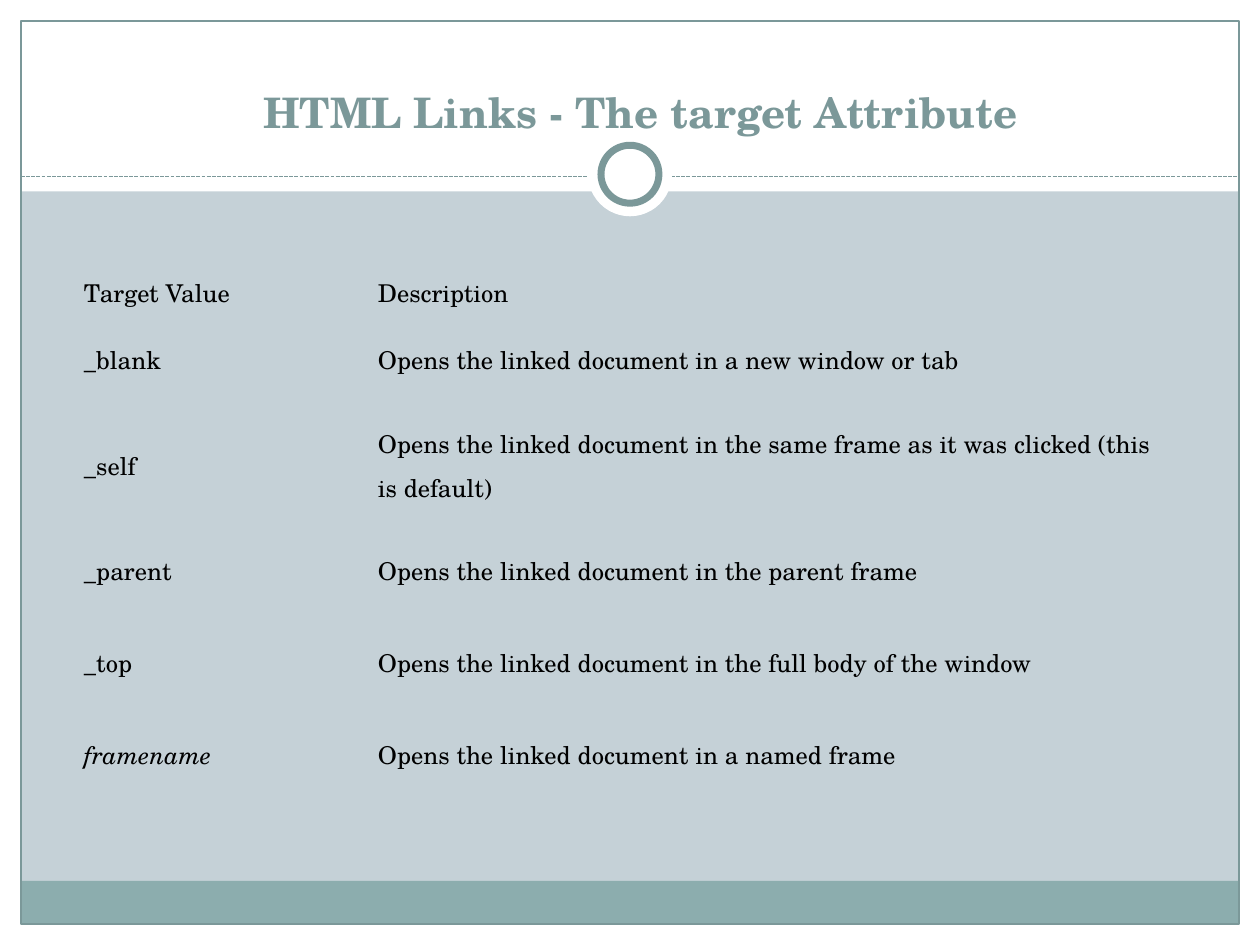
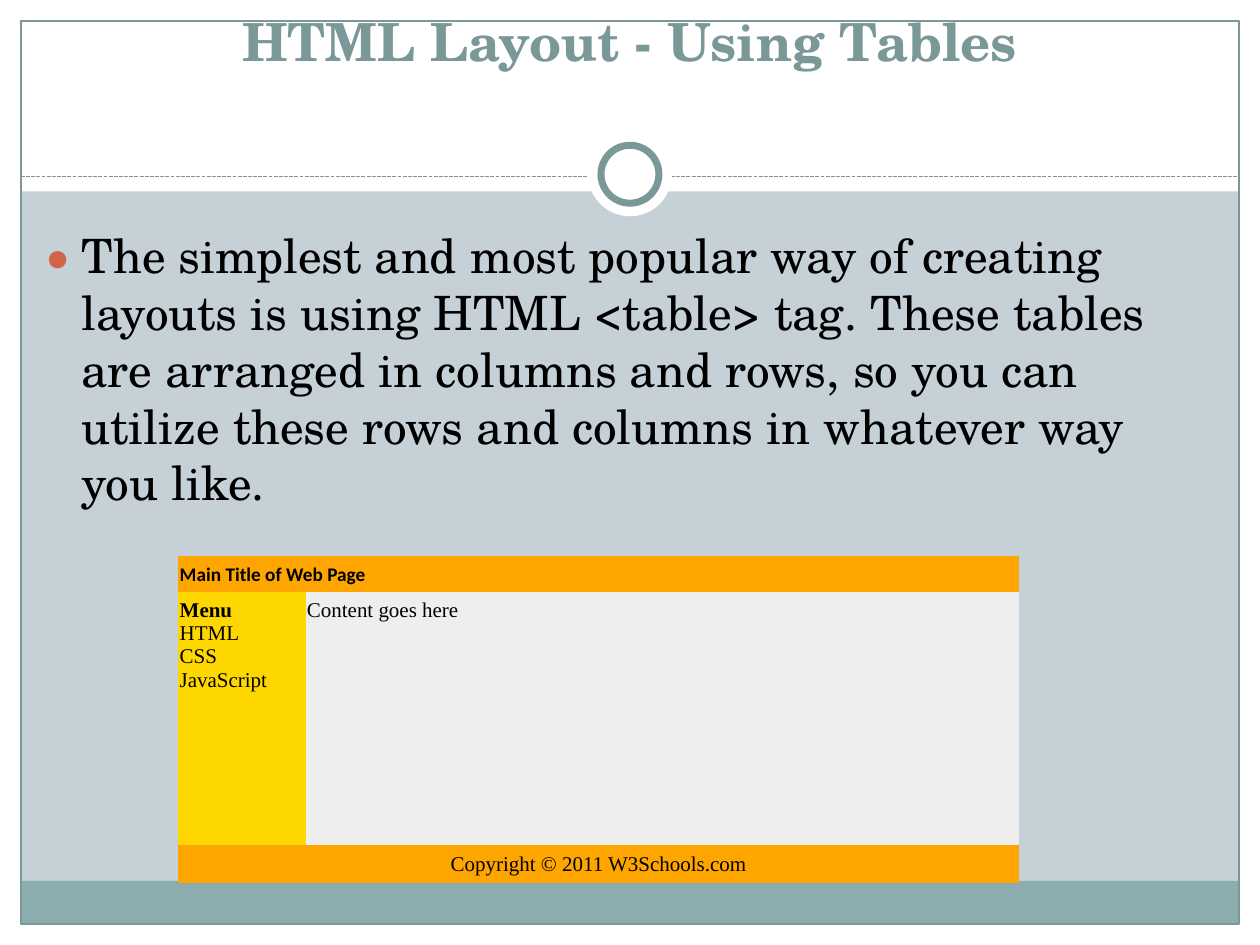
from lxml.etree import SubElement
from pptx import Presentation
from pptx.dml.color import RGBColor
from pptx.enum.dml import MSO_LINE as Dash
from pptx.enum.shapes import MSO_CONNECTOR as Wire, MSO_SHAPE as Kind
from pptx.enum.text import MSO_ANCHOR as Anchor, PP_ALIGN as Align
from pptx.oxml.ns import qn
from pptx.util import Inches, Pt

# The slide is a grid of 120 columns and 90 rows
COLS, ROWS = 120, 90
UNIT = Inches(10) / COLS
EDGE = 2
SLATE, TEAL, PALE, WHITE, BLACK = "7B9899", "8CADAE", "C5D1D7", "FFFFFF", "000000"
SERIF, SANS, ROMAN = "TeX Gyre Schola", "Calibri", "Times New Roman"
PLAIN = "{2D5ABB26-0587-4C30-8999-92F81FD0307C}"  # table style without grid
rgb = RGBColor.from_string


def grid(*cells):
    """Turn grid steps into lengths."""
    return [round(cell * UNIT) for cell in cells]


def style(frame, face, size, color=BLACK, bold=False, align=Align.LEFT):
    """Format all runs of a text frame."""
    for par in frame.paragraphs:
        par.alignment = align
        for run in par.runs:
            font = run.font
            font.name, font.size, font.bold = face, Pt(size), bold
            font.color.rgb = rgb(color)


deck = Presentation()
deck.slide_width, deck.slide_height = grid(COLS, ROWS)

# Kind, place, fill, line width
MID, RULE = COLS / 2, 16.8
WIDE, HIGH = COLS - 2 * EDGE, ROWS - 2 * EDGE
bands = [
    (Kind.RECTANGLE, (0, ROWS - EDGE, COLS, EDGE), WHITE, 0),
    (Kind.RECTANGLE, (0, 0, COLS, 18.24), WHITE, 0),
    (Kind.RECTANGLE, (0, 0, EDGE, ROWS), WHITE, 0),
    (Kind.RECTANGLE, (COLS - EDGE, 0, EDGE, ROWS), WHITE, 0),
    (Kind.RECTANGLE, (EDGE, 83.9, WIDE, 4.1), TEAL, 0),
    (Kind.RECTANGLE, (EDGE, EDGE, WIDE, HIGH), None, 0.75),
    (Kind.OVAL, (MID - 4, 12.6, 8, 8), WHITE, 0),
    (Kind.OVAL, (MID - 2.76, 13.84, 5.52, 5.52), WHITE, 4),
]

# Title, place, size, room below the text
heads = [
    ("HTML Links - The target Attribute", (5, 3, 112, 15), 24, 5.2),
    ("HTML Layout - Using Tables", (4, 3, 112, 10), 30, 6.2),
]

slides = []
for title, place, size, room in heads:
    slide = deck.slides.add_slide(deck.slide_layouts[6])
    slides.append(slide)
    slide.background.fill.solid()
    slide.background.fill.fore_color.rgb = rgb(PALE)

    for kind, spot, fill, line in bands:
        if kind == Kind.OVAL and line == 0:
            rule = slide.shapes.add_connector(
                Wire.STRAIGHT, *grid(EDGE, RULE, COLS - EDGE, RULE))
            rule.line.color.rgb = rgb(SLATE)
            rule.line.width = Pt(0.75)
            rule.line.dash_style = Dash.SQUARE_DOT
            SubElement(rule._element.spPr, qn("a:effectLst"))
        band = slide.shapes.add_shape(kind, *grid(*spot))
        band.shadow.inherit = False
        if fill:
            band.fill.solid()
            band.fill.fore_color.rgb = rgb(fill)
        else:
            band.fill.background()
        if line:
            band.line.color.rgb = rgb(SLATE)
            band.line.width = Pt(line)
        else:
            band.line.fill.background()

    frame = slide.shapes.add_textbox(*grid(*place)).text_frame
    frame.word_wrap = True
    frame.vertical_anchor = Anchor.BOTTOM
    frame.margin_top, frame.margin_bottom = grid(0, room)
    frame.text = title
    style(frame, SERIF, size, SLATE, True, Align.CENTER)

links, layout = slides

# Bulleted text
frame = layout.shapes.add_textbox(*grid(3, 21, 111.6, 60)).text_frame
frame.word_wrap = True
frame.text = (
    "The simplest and most popular way of creating layouts is using HTML "
    "<table> tag. These tables are arranged in columns and rows, so you can "
    "utilize these rows and columns in whatever way you like.")
props = frame.paragraphs[0]._p.get_or_add_pPr()
props.set("marL", str(Inches(0.3)))
props.set("indent", str(-Inches(0.3)))
SubElement(SubElement(props, qn("a:buClr")), qn("a:srgbClr"), val="D16349")
SubElement(props, qn("a:buSzPct"), val="85000")
SubElement(props, qn("a:buFont"), typeface=SERIF)
SubElement(props, qn("a:buChar"), char="●")
style(frame, SERIF, 27)

# Slide, corner, column widths, row heights, side inset, texts
tables = [
    (links, (7, 24.84), (28, 77), (3.72, 8.76, 11.4, 8.76, 8.76, 8.76), 1, [
        ("Target Value", "Description"),
        ("_blank", "Opens the linked document in a new window or tab"),
        ("_self", "Opens the linked document in the same frame as it was "
                  "clicked (this is default)"),
        ("_parent", "Opens the linked document in the parent frame"),
        ("_top", "Opens the linked document in the full body of the window"),
        ("framename", "Opens the linked document in a named frame"),
    ]),
    (layout, (17, 53), (12.12, 67.92), (2.4, 24.12, 2.64), 0.12, [
        ("Main Title of Web Page", ""),
        ("Menu\nHTML\nCSS\nJavaScript", "Content goes here"),
        ("Copyright © 2011 W3Schools.com", ""),
    ]),
]

made = []
for slide, corner, wide, high, inset, texts in tables:
    spot = grid(*corner, sum(wide), sum(high))
    table = slide.shapes.add_table(len(high), len(wide), *spot).table
    made.append(table)
    table.first_row = table.horz_banding = False
    table._tbl.tblPr.find(qn("a:tableStyleId")).text = PLAIN
    for col, width in zip(table.columns, grid(*wide)):
        col.width = width
    for row, height, line in zip(table.rows, grid(*high), texts):
        row.height = height
        for cell, text in zip(row.cells, line):
            cell.text = text
            cell.vertical_anchor = Anchor.MIDDLE
            cell.margin_left, cell.margin_right = grid(inset, inset)
            cell.fill.background()

values, page = made
for cell in values.iter_cells():
    style(cell.text_frame, SERIF, 14)
    cell.text_frame.paragraphs[0].line_spacing = 1.22
values.cell(5, 0).text_frame.paragraphs[0].runs[0].font.italic = True

# Row, column, fill, font, size, bold, alignment
looks = [
    (0, 0, "FFA500", SANS, 11, True, Align.LEFT),
    (1, 0, "FFD700", ROMAN, 12, False, Align.LEFT),
    (1, 1, "EEEEEE", ROMAN, 12, False, Align.LEFT),
    (2, 0, "FFA500", ROMAN, 12, False, Align.CENTER),
]
for row, col, fill, face, size, bold, align in looks:
    cell = page.cell(row, col)
    cell.fill.solid()
    cell.fill.fore_color.rgb = rgb(fill)
    style(cell.text_frame, face, size, BLACK, bold, align)
    if row == 1:
        cell.vertical_anchor = Anchor.TOP
    else:
        cell.merge(page.cell(row, 1))
page.cell(1, 0).text_frame.paragraphs[0].runs[0].font.bold = True

deck.save("out.pptx")
